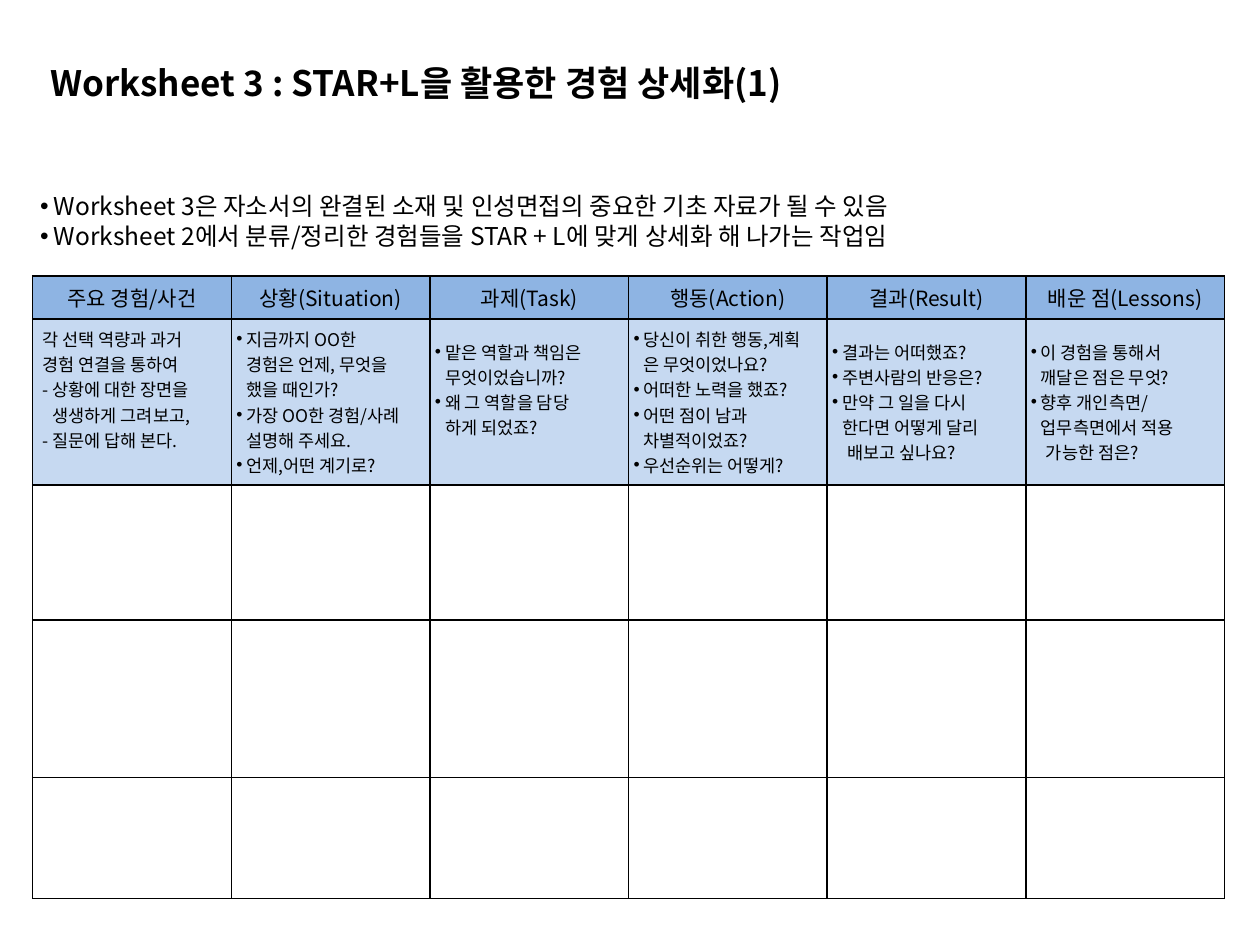
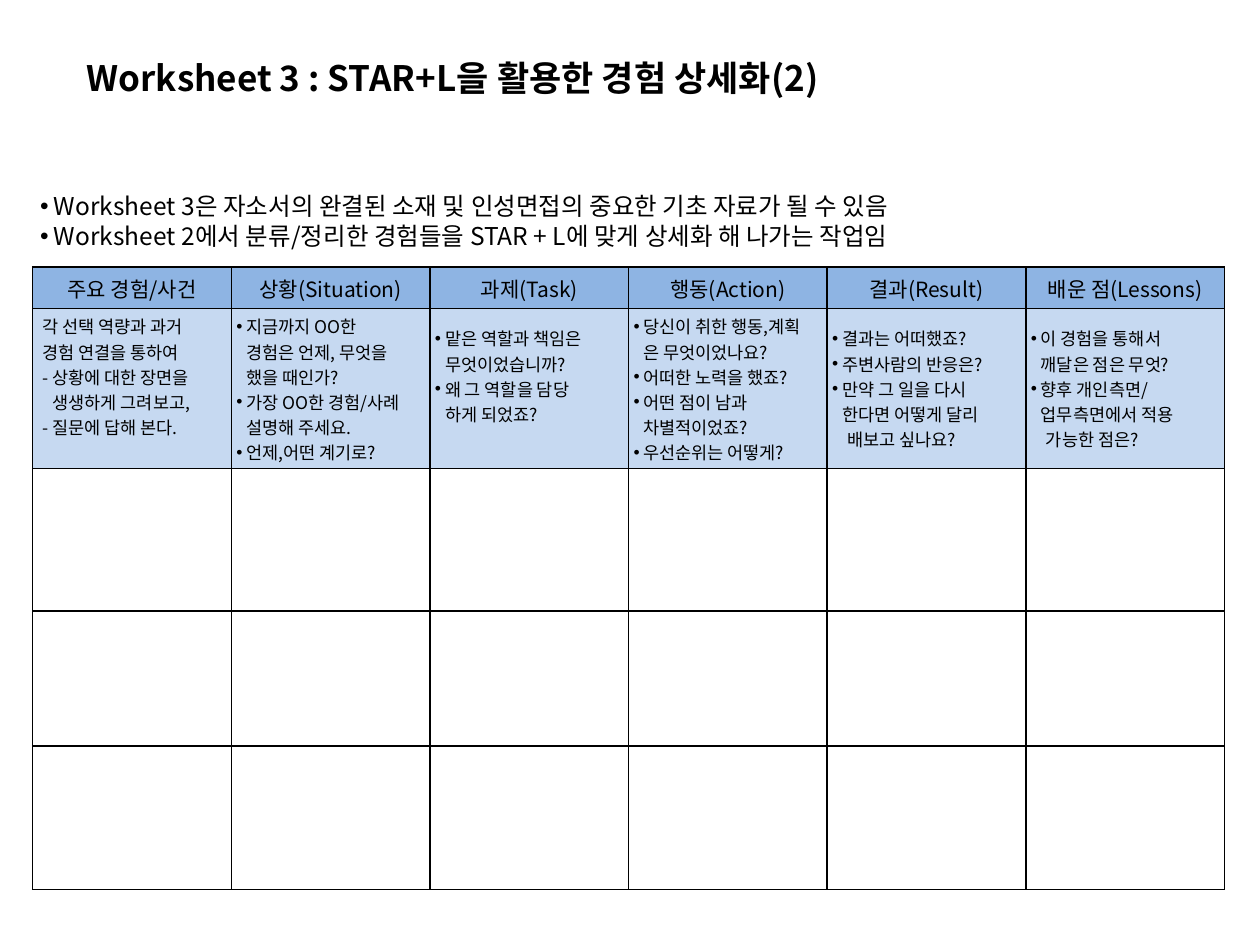
from dataclasses import dataclass

from lxml.etree import SubElement
from pptx import Presentation
from pptx.dml.color import RGBColor
from pptx.enum.text import MSO_ANCHOR as Anchor, MSO_AUTO_SIZE as AutoSize, PP_ALIGN as Align
from pptx.oxml import parse_xml
from pptx.oxml.ns import nsdecls, qn
from pptx.util import Inches, Pt


@dataclass(frozen=True)
class Theme:
    font: str = "Noto Sans CJK KR"
    ink: str = "000000"
    header_fill: str = "8EB4E3"
    guide_fill: str = "C6D9F1"
    title_size: int = 20
    intro_size: int = 14
    header_size: int = 12
    guide_size: int = 10
    cell_margin: float = 0.04
    line_height: float = 0.2


@dataclass(frozen=True)
class Line:
    text: str
    indent: float = 0.08
    bullet: bool = False


def bullet(text, indent=0.08):
    return Line(text, indent, True)


INTRO = [
    bullet("Worksheet 3은 자소서의 완결된 소재 및 인성면접의 중요한 기초 자료가 될 수 있음", 0.11),
    bullet("Worksheet 2에서 분류/정리한 경험들을 STAR + L에 맞게 상세화 해 나가는 작업임", 0.11),
]

HEADERS = ["주요 경험/사건", "상황(Situation)", "과제(Task)", "행동(Action)", "결과(Result)", "배운 점(Lessons)"]

GUIDES = [
    [Line("각 선택 역량과 과거", 0.04), Line("경험 연결을 통하여", 0.04),
     Line("- 상황에 대한 장면을", 0.04), Line("생생하게 그려보고,", 0.12),
     Line("- 질문에 답해 본다.", 0.04)],
    [bullet("지금까지 OO한"), Line("경험은 언제, 무엇을"), Line("했을 때인가?"),
     bullet("가장 OO한 경험/사례"), Line("설명해 주세요."), bullet("언제,어떤 계기로?")],
    [bullet("맡은 역할과 책임은"), Line("무엇이었습니까?"),
     bullet("왜 그 역할을 담당"), Line("하게 되었죠?")],
    [bullet("당신이 취한 행동,계획"), Line("은 무엇이었나요?"), bullet("어떠한 노력을 했죠?"),
     bullet("어떤 점이 남과"), Line("차별적이었죠?"), bullet("우선순위는 어떻게?")],
    [bullet("결과는 어떠했죠?"), bullet("주변사람의 반응은?"), bullet("만약 그 일을 다시"),
     Line("한다면 어떻게 달리"), Line("배보고 싶나요?", 0.12)],
    [bullet("이 경험을 통해서"), Line("깨달은 점은 무엇?"), bullet("향후 개인측면/"),
     Line("업무측면에서 적용"), Line("가능한 점은?", 0.12)],
]
RAISED_GUIDES = (0, 2)

WORKSHEETS = [
    dict(number=1, title_at=(0.3, 0.44), table_top=2.19, row_heights=[0.34, 1.32, 1.07, 1.25, 0.96]),
    dict(number=2, title_at=(0.59, 0.4), table_top=2.12, row_heights=[0.33, 1.27, 1.13, 1.07, 1.14]),
]


class WorksheetDeck:
    """Builds worksheet slides in one shared style."""

    def __init__(self, theme):
        self.theme = theme
        self.presentation = Presentation()
        self.presentation.slide_width = Inches(10)
        self.presentation.slide_height = Inches(7.5)
        self.slide = None

    def new_slide(self):
        self.slide = self.presentation.slides.add_slide(self.presentation.slide_layouts[6])

    def fill_text(self, text_frame, lines, size, bold=False, align=Align.LEFT):
        for index, line in enumerate(lines):
            paragraph = text_frame.paragraphs[0] if index == 0 else text_frame.add_paragraph()
            paragraph.text = line.text
            paragraph.alignment = align
            properties = paragraph._p.get_or_add_pPr()
            properties.set("marL", str(Inches(line.indent)))
            properties.set("indent", str(-Inches(line.indent) if line.bullet else 0))
            if line.bullet:
                SubElement(properties, qn("a:buFont"), typeface="Arial")
                SubElement(properties, qn("a:buChar"), char="•")
            font = paragraph.font
            font.name, font.size, font.bold = self.theme.font, Pt(size), bold
            font.color.rgb = RGBColor.from_string(self.theme.ink)
            SubElement(properties.find(qn("a:defRPr")), qn("a:ea"), typeface=self.theme.font)

    def text_box(self, left, top, width, height, lines, size, bold=False):
        shape = self.slide.shapes.add_textbox(Inches(left), Inches(top), Inches(width), Inches(height))
        shape.text_frame.word_wrap = True
        shape.text_frame.auto_size = AutoSize.SHAPE_TO_FIT_TEXT
        self.fill_text(shape.text_frame, lines, size, bold)

    def style_cell(self, cell, fill=None):
        margin = Inches(self.theme.cell_margin)
        cell.margin_left = cell.margin_right = cell.margin_top = cell.margin_bottom = margin
        cell.vertical_anchor = Anchor.MIDDLE
        if fill:
            cell.fill.solid()
            cell.fill.fore_color.rgb = RGBColor.from_string(fill)
        else:
            cell.fill.background()
        properties = cell._tc.get_or_add_tcPr()
        for position, side in enumerate(("lnL", "lnR", "lnT", "lnB")):
            properties.insert(position, parse_xml(
                f'<a:{side} {nsdecls("a")} w="{Pt(1)}"><a:solidFill>'
                f'<a:srgbClr val="{self.theme.ink}"/></a:solidFill></a:{side}>'))

    def star_table(self, top, row_heights):
        theme = self.theme
        table = self.slide.shapes.add_table(
            len(row_heights), len(HEADERS), Inches(0.26), Inches(top),
            Inches(9.46), Inches(sum(row_heights))).table
        table.first_row = table.horz_banding = False
        for row, height in zip(table.rows, row_heights):
            row.height = Inches(height)
        fills = [theme.header_fill, theme.guide_fill]
        for row_index, row in enumerate(table.rows):
            for cell in row.cells:
                self.style_cell(cell, fills[row_index] if row_index < len(fills) else None)
        for column, (header, guide) in enumerate(zip(HEADERS, GUIDES)):
            self.fill_text(table.cell(0, column).text_frame, [Line(header, 0)],
                           theme.header_size, align=Align.CENTER)
            self.fill_text(table.cell(1, column).text_frame, guide, theme.guide_size)
        for column in RAISED_GUIDES:
            table.cell(1, column).margin_bottom = Inches(theme.cell_margin + theme.line_height)

    def worksheet(self, number, title_at, table_top, row_heights):
        self.new_slide()
        title = Line(f"Worksheet 3 : STAR+L을 활용한 경험 상세화({number})", 0)
        self.text_box(*title_at, 6.93, 0.44, [title], self.theme.title_size, bold=True)
        self.star_table(table_top, row_heights)
        self.text_box(0.22, 1.47, 9.45, 0.57, INTRO, self.theme.intro_size)


def main():
    deck = WorksheetDeck(Theme())
    for worksheet in WORKSHEETS:
        deck.worksheet(**worksheet)
    deck.presentation.save("out.pptx")


if __name__ == "__main__":
    main()
